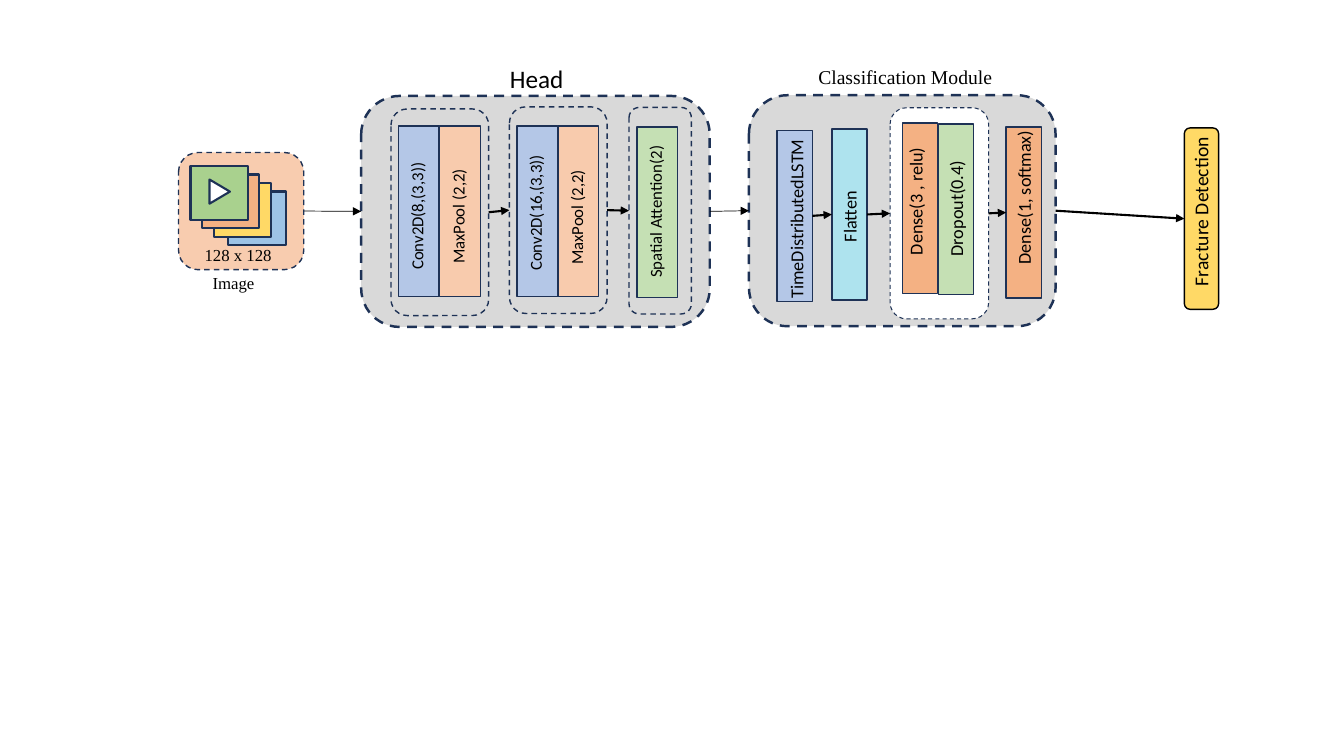
from lxml import etree
from pptx import Presentation
from pptx import util as u
from pptx.dml.color import RGBColor
from pptx.enum import dml, shapes, text
from pptx.oxml import ns

NAVY = RGBColor(0x1E, 0x32, 0x56)
BLACK = RGBColor(0, 0, 0)
WHITE = RGBColor(0xFF, 0xFF, 0xFF)
GRAY = RGBColor(0xD9, 0xD9, 0xD9)
PEACH = RGBColor(0xF8, 0xCB, 0xAD)
ORANGE = RGBColor(0xF4, 0xB1, 0x83)
YELLOW = RGBColor(0xFF, 0xD9, 0x66)
SKY = RGBColor(0x9D, 0xC3, 0xE6)
BLUE = RGBColor(0xB4, 0xC7, 0xE7)
CYAN = RGBColor(0xAE, 0xE3, 0xEE)
GREEN = RGBColor(0xA9, 0xD1, 0x8E)
PALE_GREEN = RGBColor(0xC5, 0xE0, 0xB4)
SERIF = "Times New Roman"
SANS = "Calibri"


def write(frame, words, size=12, font=SANS, color=BLACK, wrap=True):
    """Fill a text frame with one formatted line."""
    frame.word_wrap = wrap
    paragraph = frame.paragraphs[0]
    run = paragraph.add_run()
    run.text = words
    run.font.size = u.Pt(size)
    run.font.name = font
    run.font.color.rgb = color


class Diagram:
    """Draws the network elements on one slide in a shared style."""

    def __init__(self, slide, outline=NAVY):
        self.slide = slide
        self.outline = outline

    def shape(self, kind, box, fill=None, weight=1.0, dashed=False, line=None, opacity=None):
        """Add a preset shape."""
        shape = self.slide.shapes.add_shape(kind, *map(u.Pt, box))
        shape.shadow.inherit = False
        if fill is None:
            shape.fill.background()
        else:
            shape.fill.solid()
            shape.fill.fore_color.rgb = fill
        if opacity is not None:
            color = shape._element.spPr.find(".//" + ns.qn("a:srgbClr"))
            etree.SubElement(color, ns.qn("a:alpha")).set("val", str(opacity * 1000))
        shape.line.color.rgb = line or self.outline
        shape.line.width = u.Pt(weight)
        if dashed:
            shape.line.dash_style = dml.MSO_LINE.DASH
        return shape

    def rectangle(self, box, fill, weight=1.0):
        """Add a plain rectangle."""
        return self.shape(shapes.MSO_SHAPE.RECTANGLE, box, fill, weight)

    def panel(self, box, fill=None, weight=1.0, opacity=None):
        """Add a dashed rounded container."""
        return self.shape(shapes.MSO_SHAPE.ROUNDED_RECTANGLE, box, fill, weight, True, opacity=opacity)

    def label(self, words, box, rotation=0, **style):
        """Add a text box."""
        label = self.slide.shapes.add_textbox(*map(u.Pt, box))
        label.rotation = rotation
        label.text_frame.vertical_anchor = text.MSO_ANCHOR.TOP
        write(label.text_frame, words, **style)

    def upright_label(self, words, center_x, center_y, length, height, **style):
        """Add a text box that reads upward around a centre."""
        box = (center_x - length / 2, center_y - height / 2, length, height)
        self.label(words, box, 270, **style)

    def layer(self, words, left, top, fill, center_y, length, width=25.2, height=23, size=13, shift=0):
        """Add a network layer with its upright name."""
        bar = self.rectangle((left, top, width, 122), fill)
        self.upright_label(words, left + width / 2 + shift, center_y, length, height, size=size)
        return bar

    def arrow(self, start, end, weight=1.5):
        """Join the right side of one shape to the left side of another."""
        arrow = self.slide.shapes.add_connector(shapes.MSO_CONNECTOR.STRAIGHT, 0, 0, 0, 0)
        arrow.begin_connect(start, 3)
        arrow.end_connect(end, 1)
        arrow.line.color.rgb = BLACK
        arrow.line.width = u.Pt(weight)
        etree.SubElement(arrow.line._get_or_add_ln(), ns.qn("a:tailEnd")).set("type", "triangle")
        etree.SubElement(arrow._element.spPr, ns.qn("a:effectLst"))


def draw_input(diagram):
    """Draw the image stack and return its panel."""
    panel = diagram.panel((127.5, 108.9, 89.5, 83.7), PEACH, opacity=97)
    frames = [(162.7, 136.8, SKY), (152.6, 131, YELLOW), (144, 124.6, ORANGE), (136.1, 118.8, GREEN)]
    for left, top, fill in frames:
        diagram.rectangle((left, top, 41.3, 38.3), fill, 1.5)
    play = diagram.shape(shapes.MSO_SHAPE.ISOSCELES_TRIANGLE, (148.3, 129.6, 17.3, 14.6), WHITE, 1.5)
    play.rotation = 90
    diagram.label("128 x 128", (139, 171.4, 63.4, 21.6), font=SERIF, wrap=False)
    diagram.label("Image", (144.7, 191.5, 44.6, 21.6), font=SERIF, wrap=False)
    return panel


def draw_head(diagram):
    """Draw the convolution head and return its panel."""
    head = diagram.panel((258, 68.5, 249, 165), GRAY, 1.75)
    diagram.label("Head", (357.1, 41.8, 77.8, 28.8), size=18)
    narrow = {"width": 29, "height": 24.5, "size": 12}
    blocks = []
    for left, top, words, center_y, length, pool_y in [
        (279.3, 77.8, "Conv2D(8,(3,3))", 153.4, 92.9, 153.4),
        (363.9, 76.3, "Conv2D(16,(3,3))", 148.3, 104.4, 154.1),
    ]:
        blocks.append(diagram.panel((left, top, 69.8, 147.6)))
        diagram.layer(words, left + 5.3, 90, BLUE, center_y, length, **narrow)
        diagram.layer("MaxPool (2,2)", left + 34.8, 90, PEACH, pool_y, 84.2, **narrow)
    blocks.append(diagram.panel((449.3, 76.7, 44.6, 147.6)))
    diagram.layer("Spatial Attention(2)", 455, 90.7, PALE_GREEN, 150.5, 110, **narrow)
    for start, end in zip(blocks, blocks[1:]):
        diagram.arrow(start, end)
    return head


def draw_classifier(diagram):
    """Draw the classification module and return its panel."""
    module = diagram.panel((535, 68, 219, 165), GRAY, 1.75)
    diagram.label("Classification Module", (577.4, 42.5, 140, 24.5), size=14, font=SERIF)
    recurrent = diagram.layer("TimeDistributedLSTM", 555.1, 93.2, BLUE, 152.6, 135.4, shift=1.1)
    flatten = diagram.layer("Flatten", 594.2, 92.2, CYAN, 146.2, 67.7)
    dense = diagram.panel((635.8, 77, 70.4, 150.8), WHITE, 0.75)
    diagram.layer("Dense(3 , relu)", 644.5, 87.8, ORANGE, 138.2, 102.2, shift=-3.2)
    diagram.layer("Dropout(0.4)", 670.3, 88.6, PALE_GREEN, 139, 102.2)
    output = diagram.layer("Dense(1, softmax)", 718.7, 90.8, ORANGE, 134.6, 122.4)
    stages = [recurrent, flatten, dense, output]
    for start, end in zip(stages, stages[1:]):
        diagram.arrow(start, end)
    return module


def main():
    """Build and save the slide."""
    presentation = Presentation()
    presentation.slide_width = u.Pt(960)
    presentation.slide_height = u.Pt(540)
    diagram = Diagram(presentation.slides.add_slide(presentation.slide_layouts[6]))
    images = draw_input(diagram)
    head = draw_head(diagram)
    module = draw_classifier(diagram)
    result = diagram.shape(
        shapes.MSO_SHAPE.ROUNDED_RECTANGLE, (846, 91.4, 24.5, 129.6), YELLOW, line=BLACK)
    diagram.upright_label("Fracture Detection", 857.9, 150.5, 121.7, 24.5, size=14, wrap=False)
    diagram.arrow(images, head, 0.5)
    diagram.arrow(head, module, 0.5)
    diagram.arrow(module, result)
    presentation.save("out.pptx")


if __name__ == "__main__":
    main()
